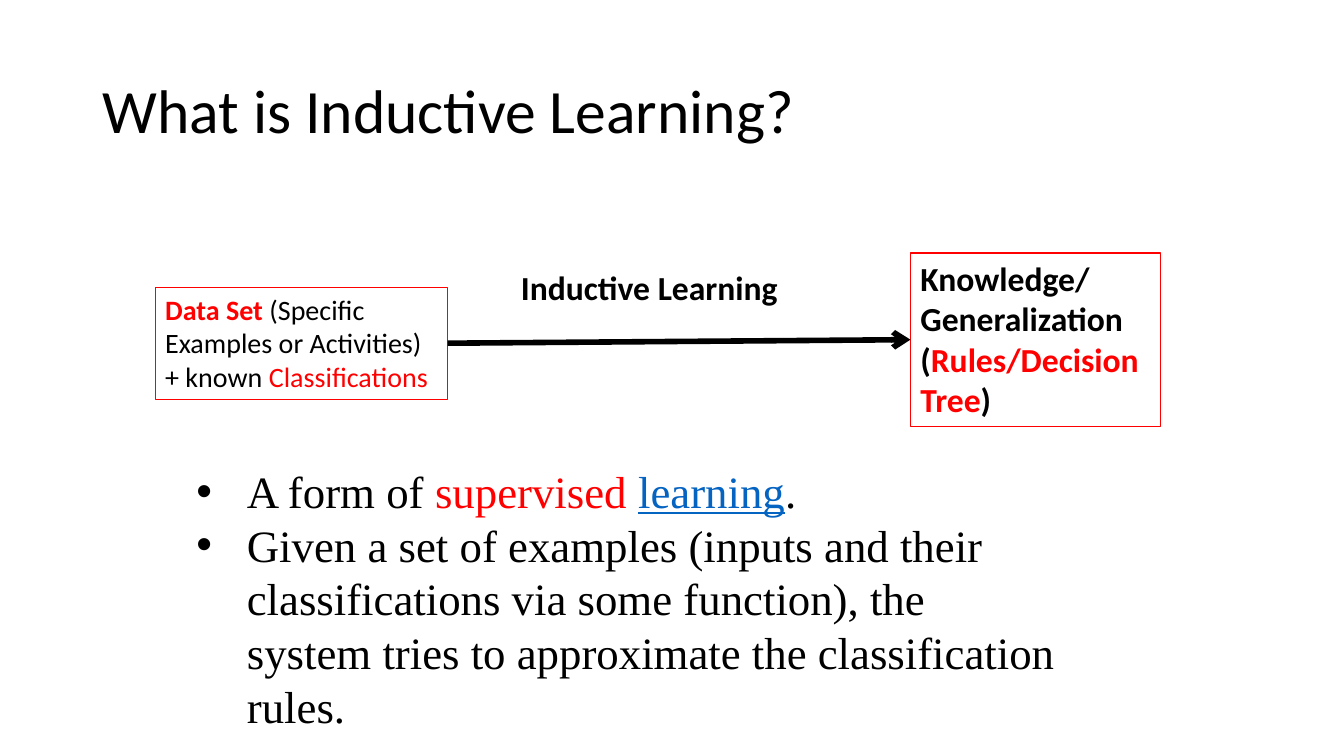
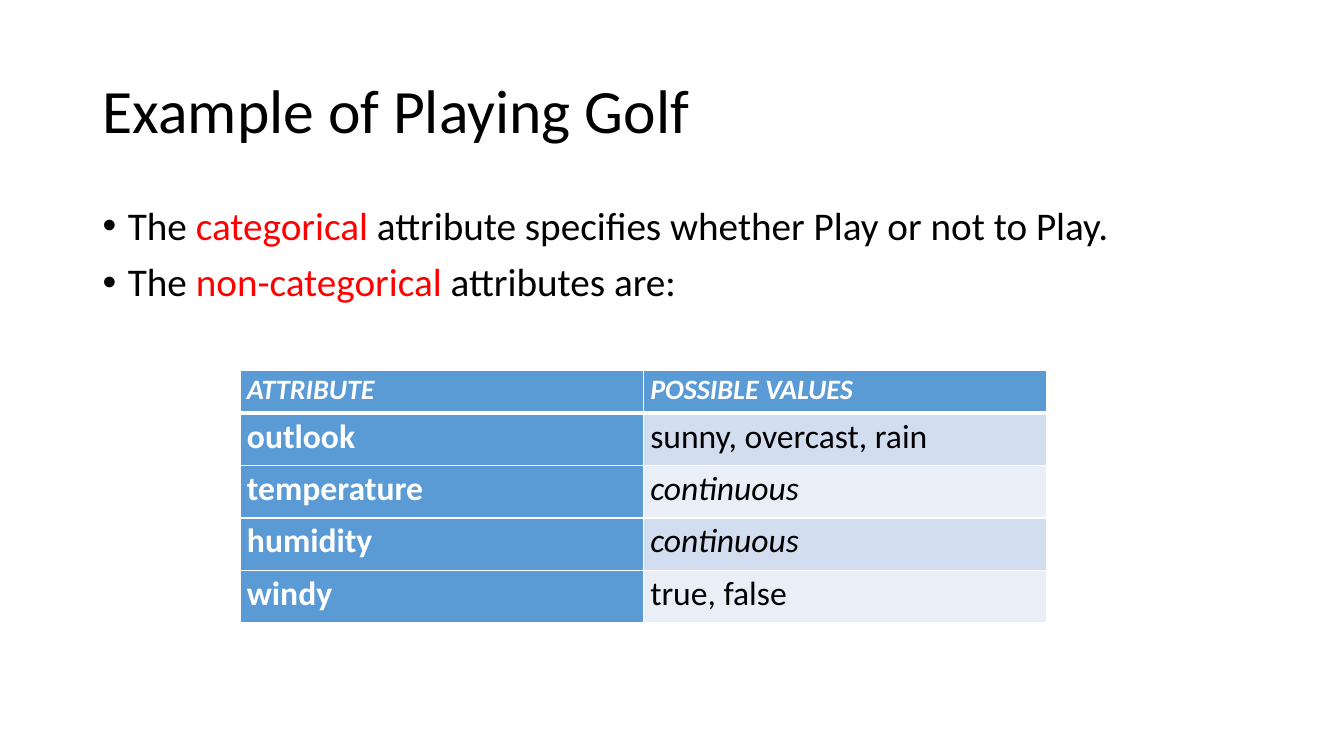
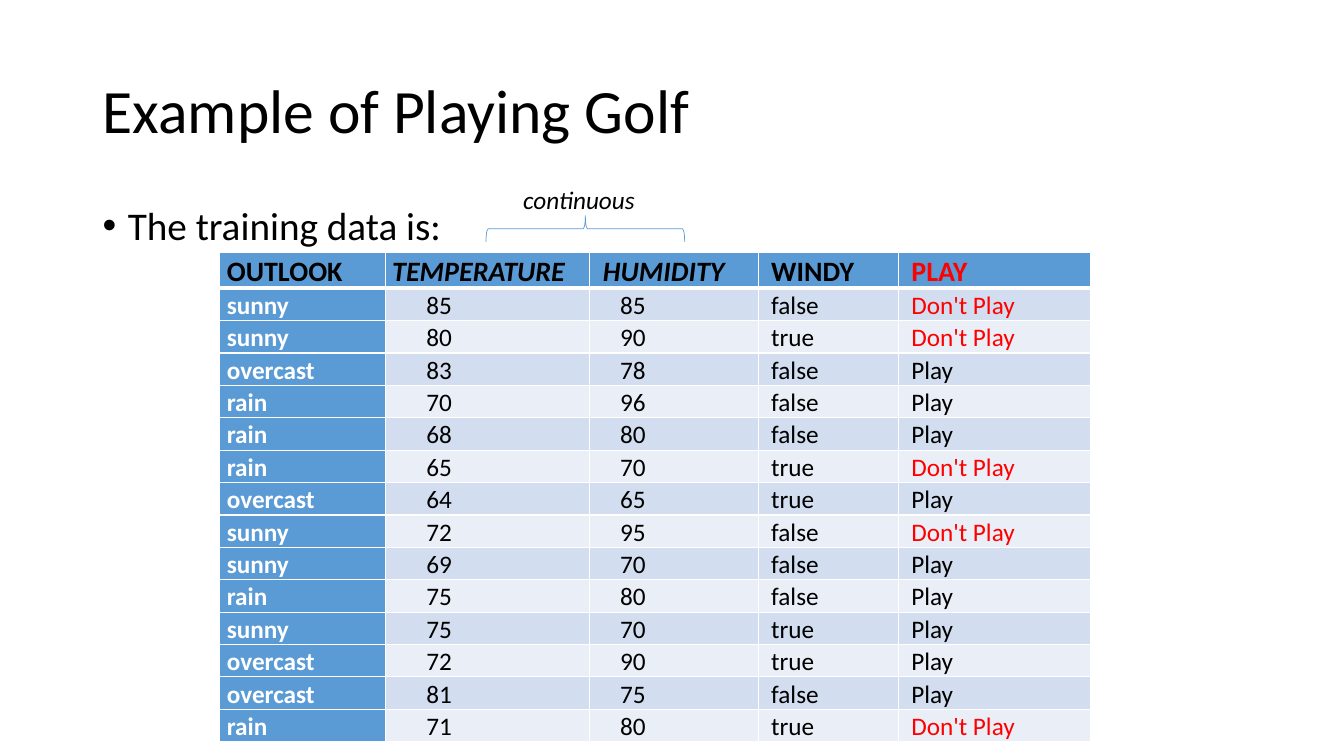
from dataclasses import dataclass
from lxml.etree import SubElement
from pptx import Presentation
from pptx.dml.color import RGBColor
from pptx.enum.shapes import MSO_CONNECTOR, MSO_SHAPE
from pptx.enum.text import MSO_ANCHOR, PP_ALIGN
from pptx.oxml import parse_xml
from pptx.oxml.ns import nsdecls, qn
from pptx.util import Inches, Pt


@dataclass(frozen=True)
class Theme:
    sans: str = "Calibri"
    serif: str = "Times New Roman"
    black: str = "000000"
    white: str = "FFFFFF"
    red: str = "FF0000"
    link: str = "0563C1"
    blue: str = "5B9BD5"
    bands: tuple = ("D2DEEF", "EAEFF7")
    title: int = 44
    large: int = 32
    body: int = 28
    label: int = 24
    note: int = 20
    small: int = 18


THEME = Theme()
TITLE = (0.92, 0.4, 11.5, 1.45)
BODY = (0.92, 2, 11.5, 4.76)
RED = {"color": THEME.red}
BOLD = {"bold": True}
ITALIC = {"italic": True}


def color(code):
    return RGBColor.from_string(code)


def write(par, parts, size, face=THEME.sans, spacing=None, **base):
    if isinstance(parts, str):
        parts = [(parts, {})]
    if spacing:
        par.line_spacing = spacing
    for text, extra in parts:
        style = {"color": THEME.black, **base, **extra}
        run = par.add_run()
        run.text = text
        font = run.font
        font.name, font.size = face, Pt(size)
        font.color.rgb = color(style["color"])
        font.bold = style.get("bold", False)
        font.italic = style.get("italic", False)
        font.underline = style.get("underline", False)


def add_text(slide, box, parts, size, anchor=MSO_ANCHOR.TOP, align=PP_ALIGN.LEFT, **style):
    frame = slide.shapes.add_textbox(*map(Inches, box)).text_frame
    frame.word_wrap = True
    frame.vertical_anchor = anchor
    frame.paragraphs[0].alignment = align
    write(frame.paragraphs[0], parts, size, **style)


def add_list(slide, box, items, size, indent, before=0, **style):
    frame = slide.shapes.add_textbox(*map(Inches, box)).text_frame
    frame.word_wrap = True
    for index, parts in enumerate(items):
        par = frame.add_paragraph() if index else frame.paragraphs[0]
        write(par, parts, size, **style)
        par.space_before = Pt(before)
        props = par._p.get_or_add_pPr()
        props.set("marL", str(Inches(indent)))
        props.set("indent", str(-Inches(indent)))
        SubElement(props, qn("a:buFont"), typeface="Arial")
        SubElement(props, qn("a:buChar"), char="•")


def add_box(slide, box, parts, size, **style):
    shape = slide.shapes.add_shape(MSO_SHAPE.RECTANGLE, *map(Inches, box))
    shape.shadow.inherit = False
    shape.fill.background()
    shape.line.color.rgb = color(THEME.red)
    shape.line.width = Pt(0.75)
    frame = shape.text_frame
    frame.word_wrap = True
    frame.vertical_anchor = MSO_ANCHOR.TOP
    frame.paragraphs[0].alignment = PP_ALIGN.LEFT
    write(frame.paragraphs[0], parts, size, **style)
    return shape


def add_arrow(slide, start, end):
    arrow = slide.shapes.add_connector(MSO_CONNECTOR.STRAIGHT, 0, 0, 0, 0)
    arrow.begin_connect(start, 3)
    arrow.end_connect(end, 1)
    arrow.line.color.rgb = color(THEME.black)
    arrow.line.width = Pt(4)
    SubElement(arrow.line._get_or_add_ln(), qn("a:tailEnd"), type="arrow")
    SubElement(arrow._element.spPr, qn("a:effectLst"))


def add_brace(slide, box):
    left, top, width, height = box
    shift = (width - height) / 2
    place = (left + shift, top - shift, height, width)
    brace = slide.shapes.add_shape(MSO_SHAPE.LEFT_BRACE, *map(Inches, place))
    brace.rotation = 90
    brace.shadow.inherit = False
    brace.fill.background()
    brace.line.color.rgb = color(THEME.blue)
    brace.line.width = Pt(0.5)


def set_cell(cell, fill, parts, size, inset, head, **style):
    cell.margin_left, cell.margin_right = Inches(inset), Inches(0.07)
    cell.margin_top = cell.margin_bottom = 0
    cell.fill.solid()
    cell.fill.fore_color.rgb = color(fill)
    write(cell.text_frame.paragraphs[0], parts, size, spacing=1.07, **style)
    props = cell._tc.get_or_add_tcPr()
    for index, side in enumerate("LRTB"):
        width = Pt(3 if head and side == "B" else 1)
        props.insert(index, parse_xml(
            f'<a:ln{side} {nsdecls("a")} w="{width}"><a:solidFill>'
            f'<a:srgbClr val="{THEME.white}"/></a:solidFill></a:ln{side}>'))


def add_grid(slide, spot, widths, heights, heads, rows, size, insets, ink):
    head_high, row_high = heights
    high = head_high + row_high * len(rows)
    place = (*spot, sum(widths), high)
    table = slide.shapes.add_table(len(rows) + 1, len(widths), *map(Inches, place)).table
    for column, width in zip(table.columns, widths):
        column.width = Inches(width)
    for index, row in enumerate(table.rows):
        row.height = Inches(row_high if index else head_high)
    for col, (text, style) in enumerate(heads):
        set_cell(table.cell(0, col), THEME.blue, text, THEME.note, insets[0][col], True,
                 **{"color": ink, "bold": True, **style})
    for index, row in enumerate(rows):
        for col, text in enumerate(row):
            if col:
                fill = THEME.bands[index % 2]
                style = {"continuous": ITALIC, "Don't Play": RED}.get(text, {})
            else:
                fill, style = THEME.blue, {"color": THEME.white, "bold": True}
            set_cell(table.cell(index + 1, col), fill, text, size, insets[1][col], False, **style)


def new_slide(deck, title):
    slide = deck.slides.add_slide(deck.slide_layouts[6])
    add_text(slide, TITLE, title, THEME.title, anchor=MSO_ANCHOR.MIDDLE, spacing=0.9)
    return slide


def add_points(slide, items):
    add_list(slide, BODY, items, THEME.body, 0.25, before=10, spacing=0.9)


def learning(deck):
    slide = new_slide(deck, "What is Inductive Learning?")
    data = add_box(slide, (1.54, 2.85, 2.9, 1.11), [
        ("Data Set ", {**RED, **BOLD}),
        ("(Specific Examples or Activities) + known ", {}),
        ("Classifications", RED)], THEME.note)
    rules = add_box(slide, (9.03, 2.51, 2.48, 1.72), [
        ("Knowledge/Generalization (", {}),
        ("Rules/Decision Tree", RED),
        (")", {})], THEME.label, bold=True)
    add_text(slide, (4.83, 2.6, 3.22, 0.5), "Inductive Learning", THEME.label,
             align=PP_ALIGN.CENTER, bold=True)
    add_arrow(slide, data, rules)
    add_list(slide, (1.85, 4.55, 8.72, 2.79), [
        [("A form of ", {}), ("supervised ", RED),
         ("learning", {"color": THEME.link, "underline": True}), (".", {})],
        "Given a set of examples (inputs and their classifications via some function), "
        "the system tries to approximate the classification rules."],
        THEME.large, 0.5, face=THEME.serif)


def attributes(deck):
    slide = new_slide(deck, "Example of Playing Golf")
    add_points(slide, [
        [("The ", {}), ("categorical", RED),
         (" attribute specifies whether Play or not to Play.", {})],
        [("The ", {}), ("non-categorical ", RED), ("attributes are:", {})]])
    heads = [("ATTRIBUTE", ITALIC), ("POSSIBLE VALUES", ITALIC)]
    rows = [("outlook", "sunny, overcast, rain"), ("temperature", "continuous"),
            ("humidity", "continuous"), ("windy", "true, false")]
    inset = (0.07, 0.07)
    add_grid(slide, (2.38, 3.67), (4, 4), (0.43, 0.52), heads, rows,
             THEME.label, (inset, inset), THEME.white)


def training(deck):
    slide = new_slide(deck, "Example of Playing Golf")
    add_points(slide, ["The training data is:"])
    heads = [("OUTLOOK", {}), ("TEMPERATURE", ITALIC), ("HUMIDITY", ITALIC),
             ("WINDY", {}), ("PLAY", RED)]
    rows = [
        ("sunny", "85", "85", "false", "Don't Play"),
        ("sunny", "80", "90", "true", "Don't Play"),
        ("overcast", "83", "78", "false", "Play"),
        ("rain", "70", "96", "false", "Play"),
        ("rain", "68", "80", "false", "Play"),
        ("rain", "65", "70", "true", "Don't Play"),
        ("overcast", "64", "65", "true", "Play"),
        ("sunny", "72", "95", "false", "Don't Play"),
        ("sunny", "69", "70", "false", "Play"),
        ("rain", "75", "80", "false", "Play"),
        ("sunny", "75", "70", "true", "Play"),
        ("overcast", "72", "90", "true", "Play"),
        ("overcast", "81", "75", "false", "Play"),
        ("rain", "71", "80", "true", "Don't Play")]
    insets = ((0.07, 0.07, 0.13, 0.13, 0.13), (0.07, 0.41, 0.3, 0.13, 0.13))
    add_grid(slide, (2.18, 2.5), (1.64, 2.03, 1.67, 1.39, 1.91), (0.36, 0.32),
             heads, rows, THEME.small, insets, THEME.black)
    add_brace(slide, (4.82, 2.14, 1.97, 0.26))
    add_text(slide, (5.09, 1.78, 1.98, 0.71), "continuous", THEME.small, italic=True)


def main():
    deck = Presentation()
    deck.slide_width, deck.slide_height = Inches(13.33), Inches(7.5)
    for build in (learning, attributes, training):
        build(deck)
    deck.save("out.pptx")


if __name__ == "__main__":
    main()
